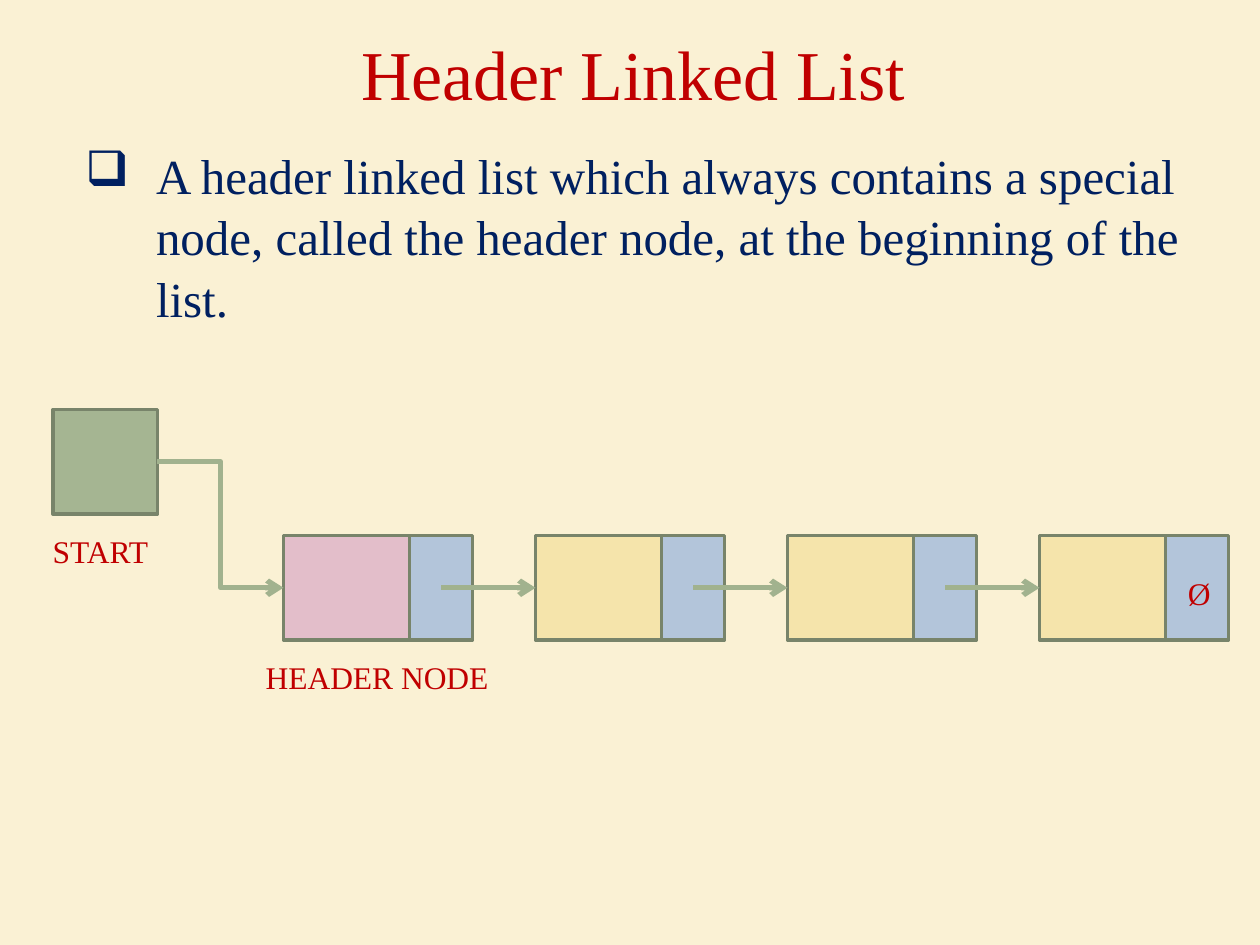
from lxml import etree
from pptx import Presentation, util as u
from pptx.dml.color import RGBColor
from pptx.enum import shapes, text
from pptx.oxml.ns import qn

TITLE = "Header Linked List"
BODY = ("A header linked list which always contains a special node, "
        "called the header node, at the beginning of the list.")
FONT = "Times New Roman"
RED, NAVY = "C00000", "002060"
BACKGROUND, EDGE, ARROW = "FAF1D4", "78846A", "A1B28E"
START_FILL, LINK_FILL = "A5B592", "B3C5DA"
NODE_FILLS = ["E3BECA", "F5E4AB", "F5E4AB", "F5E4AB"]
LABELS = [
    ("Ø", 9.33, 4.51, 0.38, True),
    ("START", 0.32, 4.17, 0.99, False),
    ("HEADER NODE", 2.01, 5.17, 1.97, False),
]
START_LEFT, START_TOP = 0.42, 3.25
NODE_LEFT, NODE_TOP, NODE_STEP = 2.25, 4.25, 2
DATA_WIDTH, LINK_WIDTH, SIDE = 1, 0.5, 0.83


def color(value):
    return RGBColor.from_string(value)


def style_text(paragraph, size, value):
    for span in paragraph.runs:
        span.font.name = FONT
        span.font.size = u.Pt(size)
        span.font.color.rgb = color(value)


def add_box(page, left, top, width, fill):
    box = page.shapes.add_shape(shapes.MSO_SHAPE.RECTANGLE, u.Inches(left),
                                u.Inches(top), u.Inches(width), u.Inches(SIDE))
    box.shadow.inherit = False
    box.fill.solid()
    box.fill.fore_color.rgb = color(fill)
    box.line.color.rgb = color(EDGE)
    box.line.width = u.Pt(2)
    return box


def add_text(page, words, left, top, width, height, size, value, wrap=True):
    box = page.shapes.add_textbox(u.Inches(left), u.Inches(top),
                                  u.Inches(width), u.Inches(height))
    box.text_frame.word_wrap = wrap
    box.text_frame.text = words
    paragraph = box.text_frame.paragraphs[0]
    style_text(paragraph, size, value)
    return paragraph


def add_arrow(page, kind, start, end, target):
    arrow = page.shapes.add_connector(kind, *map(u.Inches, start + end))
    arrow.line.color.rgb = color(ARROW)
    arrow.line.width = u.Pt(3)
    etree.SubElement(arrow.line._get_or_add_ln(), qn("a:tailEnd"), type="arrow")
    etree.SubElement(arrow._element.spPr, qn("a:effectLst"))
    arrow.end_connect(target, 1)
    return arrow


def add_bullet(paragraph, symbol, value, indent):
    paragraph.space_before = u.Pt(7)
    paragraph.line_spacing = 1.05
    properties = paragraph._p.get_or_add_pPr()
    properties.set("marL", str(u.Inches(indent)))
    properties.set("indent", str(u.Inches(-indent)))
    tint = etree.SubElement(properties, qn("a:buClr"))
    etree.SubElement(tint, qn("a:srgbClr"), val=value)
    etree.SubElement(properties, qn("a:buChar"), char=symbol)


def main():
    deck = Presentation()
    deck.slide_width, deck.slide_height = u.Inches(10), u.Inches(7.5)
    page = deck.slides.add_slide(deck.slide_layouts[5])
    page.background.fill.solid()
    page.background.fill.fore_color.rgb = color(BACKGROUND)

    title = page.shapes.title
    title.left, title.top = u.Inches(0.55), u.Inches(0)
    title.width, title.height = u.Inches(8.95), u.Inches(1.15)
    title.text_frame.text = TITLE
    title.text_frame.vertical_anchor = text.MSO_ANCHOR.MIDDLE
    heading = title.text_frame.paragraphs[0]
    heading.alignment = text.PP_ALIGN.CENTER
    style_text(heading, 40, RED)

    body = add_text(page, BODY, 0.58, 1.08, 9.42, 5.75, 28, NAVY)
    add_bullet(body, "❑", NAVY, 0.56)

    start = add_box(page, START_LEFT, START_TOP, SIDE, START_FILL)
    nodes = []
    for index, fill in enumerate(NODE_FILLS):
        left = NODE_LEFT + index * NODE_STEP
        nodes.append(add_box(page, left, NODE_TOP, DATA_WIDTH, fill))
        add_box(page, left + DATA_WIDTH, NODE_TOP, LINK_WIDTH, LINK_FILL)

    middle = NODE_TOP + SIDE / 2
    elbow = add_arrow(page, shapes.MSO_CONNECTOR.ELBOW,
                      (START_LEFT + SIDE, START_TOP + SIDE / 2),
                      (NODE_LEFT, middle), nodes[0])
    elbow.begin_connect(start, 3)
    for index, target in enumerate(nodes[1:]):
        left = NODE_LEFT + index * NODE_STEP
        add_arrow(page, shapes.MSO_CONNECTOR.STRAIGHT,
                  (left + DATA_WIDTH + LINK_WIDTH / 2, middle),
                  (left + NODE_STEP, middle), target)

    for words, left, top, width, wrap in LABELS:
        add_text(page, words, left, top, width, 0.4, 18, RED, wrap)

    deck.save("out.pptx")


if __name__ == "__main__":
    main()
